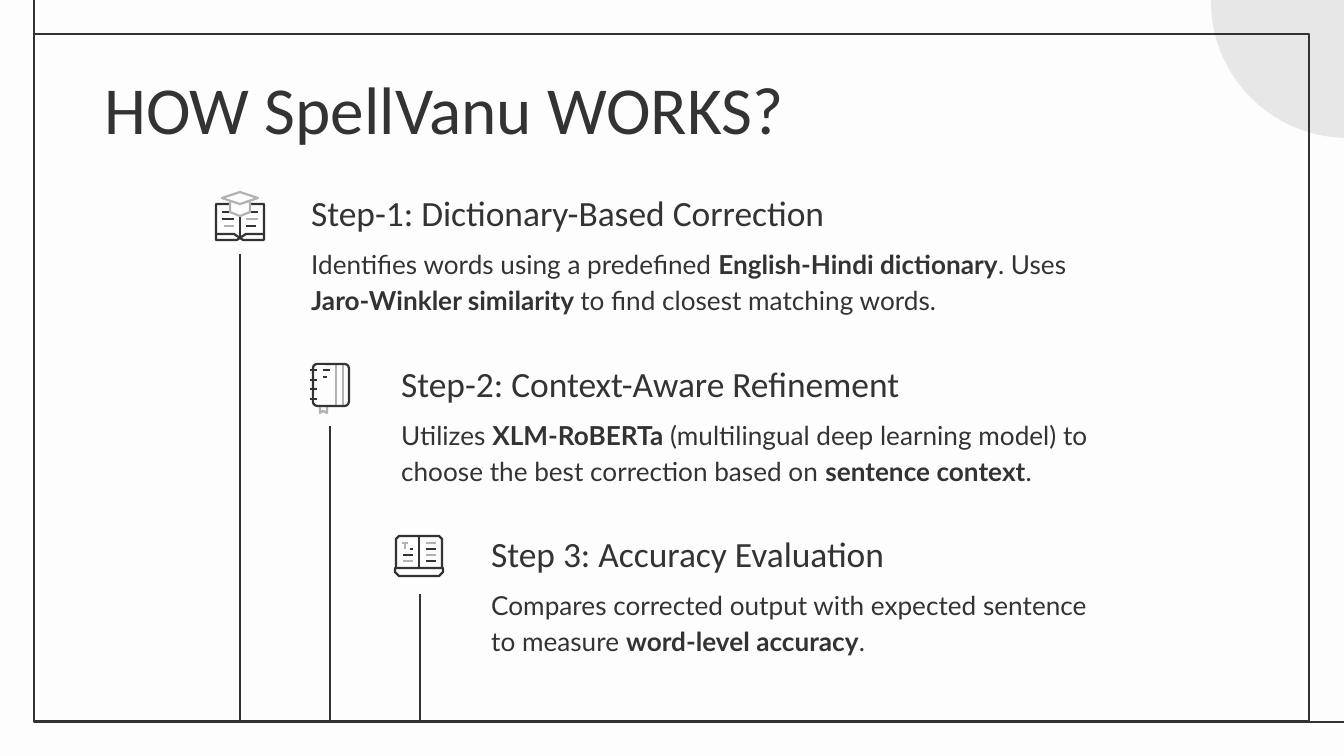
import pptx
import pptx.dml.color
import pptx.enum.shapes
import pptx.enum.text
import pptx.oxml.ns
import pptx.util

SCALE = 914400 / 134.4
INK, GRAY, PAPER, CIRCLE = "333333", "B2B2B2", "FDFDFD", "E8E7E7"
SHAPES = pptx.enum.shapes.MSO_SHAPE
STEP_SHIFT = 90


def px(value):
    return pptx.util.Emu(round(value * SCALE))


def color(value):
    return pptx.dml.color.RGBColor.from_string(value)


class Deck:
    """Draws styled elements on the current slide, with lengths in px."""

    def __init__(self, width, height):
        self.presentation = pptx.Presentation()
        self.presentation.slide_width = px(width)
        self.presentation.slide_height = px(height)
        self.frame_line = 1.5
        self.icon_line = 1.2

    def add_slide(self, background):
        self.slide = self.presentation.slides.add_slide(self.presentation.slide_layouts[6])
        self.slide.background.fill.solid()
        self.slide.background.fill.fore_color.rgb = color(background)

    def paint(self, shape, fill, line, weight):
        shape.shadow.inherit = False
        if fill:
            shape.fill.solid()
            shape.fill.fore_color.rgb = color(fill)
        else:
            shape.fill.background()
        if line:
            shape.line.color.rgb = color(line)
            shape.line.width = pptx.util.Pt(weight)
        else:
            shape.line.fill.background()

    def shape(self, kind, left, top, width, height, fill=None, line=None, weight=1.5):
        shape = self.slide.shapes.add_shape(kind, px(left), px(top), px(width), px(height))
        self.paint(shape, fill, line, weight)
        return shape

    def line(self, start, end, line=INK, weight=1.5):
        connector = self.slide.shapes.add_connector(
            pptx.enum.shapes.MSO_CONNECTOR.STRAIGHT, *map(px, start + end))
        connector.line.color.rgb = color(line)
        connector.line.width = pptx.util.Pt(weight)
        properties = connector._element.spPr
        properties.append(properties.makeelement(pptx.oxml.ns.qn("a:effectLst"), {}))

    def stroke(self, points, line=INK, close=False):
        builder = self.slide.shapes.build_freeform(*points[0], scale=SCALE)
        builder.add_line_segments(points[1:], close=close)
        self.paint(builder.convert_to_shape(), None, line, self.icon_line)

    def dashes(self, rows):
        for left, right, y, line in rows:
            self.line((left, y), (right, y), line, self.icon_line)

    def text(self, left, top, width, height, paragraphs, size, font, spacing=None, bottom=False):
        frame = self.slide.shapes.add_textbox(px(left), px(top), px(width), px(height)).text_frame
        frame.word_wrap = True
        frame.margin_left = frame.margin_right = pptx.util.Inches(0.1)
        frame.margin_top = frame.margin_bottom = pptx.util.Inches(0.1)
        anchors = pptx.enum.text.MSO_ANCHOR
        frame.vertical_anchor = anchors.BOTTOM if bottom else anchors.TOP
        for index, runs in enumerate(paragraphs):
            paragraph = frame.add_paragraph() if index else frame.paragraphs[0]
            if spacing:
                paragraph.line_spacing = spacing
            for words, bold in runs:
                run = paragraph.add_run()
                run.text = words
                run.font.name = font
                run.font.size = pptx.util.Pt(size)
                run.font.bold = bold
                run.font.color.rgb = color(INK)


def draw_frame(deck):
    deck.shape(SHAPES.OVAL, 1211, -136, 274, 274, fill=CIRCLE)
    deck.shape(SHAPES.RECTANGLE, 34, 34, 1275, 688, line=INK)
    deck.line((34, 34), (34, 0))
    deck.line((1309, 722), (1344, 722))


def draw_graduation_book(deck):
    deck.stroke([(230, 204), (216, 204), (216, 240), (237, 240), (240, 238),
                 (243, 240), (264, 240), (264, 204), (250, 204)])
    deck.stroke([(216, 234), (234, 234), (240, 238), (246, 234), (264, 234)])
    deck.line((240, 216), (240, 237), INK, deck.icon_line)
    deck.dashes([(222, 230, 212, INK), (249, 258, 212, INK), (222, 234, 219, INK),
                 (246, 258, 219, GRAY), (224, 234, 226, GRAY), (246, 256, 226, INK)])
    deck.stroke([(240, 192), (258, 198), (240, 204), (222, 198)], GRAY, True)
    deck.stroke([(230, 202), (230, 212), (240, 216), (250, 212), (250, 202)], GRAY)


def draw_notebook(deck):
    for x in (336, 343):
        deck.line((x, 364), (x, 406), GRAY, deck.icon_line)
    deck.stroke([(320, 406), (320, 413), (323, 411), (327, 413), (327, 406)], GRAY)
    cover = deck.shape(SHAPES.ROUNDED_RECTANGLE, 313, 364, 36, 42, line=INK,
                       weight=deck.icon_line)
    cover.adjustments[0] = 0.12
    deck.dashes([(310, 317, y, INK) for y in (370, 380, 389, 399)])
    deck.dashes([(323, 330, 370, INK), (323, 327, 377, INK)])


def draw_open_book(deck):
    deck.stroke([(396, 568), (396, 539), (399, 536), (439, 536), (442, 539), (442, 568)])
    deck.stroke([(395, 568), (443, 568), (443, 572), (439, 576), (399, 576), (395, 572)],
                close=True)
    deck.line((419, 536), (419, 568), INK, deck.icon_line)
    deck.line((405, 543), (405, 549), GRAY, deck.icon_line)
    deck.dashes([(426, 436, 543 + 6 * row, INK if row % 2 else GRAY) for row in range(4)])
    deck.dashes([(402, 408, 543, GRAY), (410, 413, 549, INK),
                 (403, 413, 555, INK), (403, 413, 561, GRAY)])


STEPS = [
    (184, 254, 716, 831, draw_graduation_book, "Step-1: Dictionary-Based Correction",
     [[("Identifies words using a predefined ", False), ("English-Hindi dictionary", True),
       (". Uses ", False), ("Jaro-Winkler similarity ", True),
       ("to find closest matching words.", False)]]),
    (355, 426, 716, 716, draw_notebook, "Step-2: Context-Aware Refinement",
     [[("Utilizes ", False), ("XLM-RoBERTa", True),
       (" (multilingual deep learning model) to choose the best correction based on ", False),
       ("sentence context", True), (".", False)]]),
    (525, 594, 761, 716, draw_open_book, "Step 3: Accuracy Evaluation",
     [[("Compares corrected output with expected sentence", False)],
      [("to measure ", False), ("word-level accuracy", True), (".", False)]]),
]


def main():
    deck = Deck(1344, 756)
    deck.add_slide(PAPER)
    draw_frame(deck)
    deck.text(91, 54, 1133, 85, [[("HOW SpellVanu WORKS?", False)]], 36, "Calibri")
    for index, step in enumerate(STEPS):
        top, line_top, heading_width, body_width, draw_icon, heading, body = step
        shift = index * STEP_SHIFT
        deck.shape(SHAPES.RECTANGLE, 202 + shift, top - 6, 75, 75, fill=PAPER)
        deck.text(298 + shift, top + 46, body_width, 78, body, 14, "Lato", 1.15)
        deck.text(298 + shift, top, heading_width, 63, [[(heading, False)]],
                  19, "Calibri", 1.15, True)
        draw_icon(deck)
        deck.line((240 + shift, line_top), (240 + shift, 720))
    deck.presentation.save("out.pptx")


if __name__ == "__main__":
    main()
